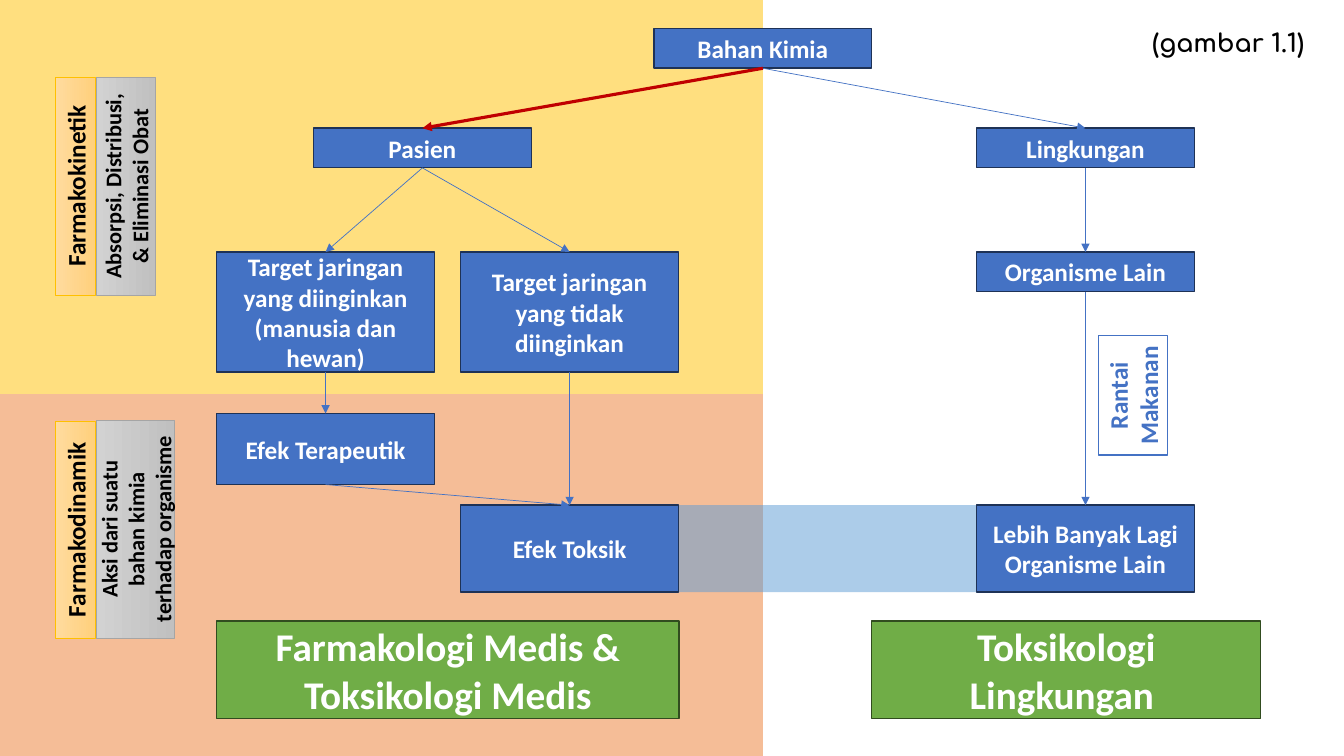
"""Build the slide on the paths of a chemical through patients and the environment."""
from lxml import etree
from pptx import Presentation
from pptx.dml.color import RGBColor
from pptx.enum.shapes import MSO_CONNECTOR, MSO_SHAPE
from pptx.enum.text import MSO_ANCHOR, PP_ALIGN
from pptx.oxml.ns import qn
from pptx.util import Cm, Pt

BLUE, NAVY, GREEN, WHITE, BLACK = "4472C4", "1E3256", "70AD47", "FFFFFF", "000000"
TOP, BOTTOM = 0, 2
WIDE, LOW = 5.49, 1

deck = Presentation()
deck.slide_width, deck.slide_height = Cm(33.87), Cm(19.05)
slide = deck.slides.add_slide(deck.slide_layouts[6])
shapes = slide.shapes


def color(code):
    return RGBColor.from_string(code)


def add_box(place, text="", fill=None, edge=None, weight=1, size=18, ink=WHITE, turn=0):
    box = shapes.add_shape(MSO_SHAPE.RECTANGLE, *map(Cm, place))
    box.shadow.inherit = False
    box.rotation = turn
    if isinstance(fill, tuple):
        box.fill.gradient()
        box.fill.gradient_angle = 270
        for stop, code in zip(box.fill.gradient_stops, fill):
            stop.color.rgb = color(code)
    elif fill:
        box.fill.solid()
        box.fill.fore_color.rgb = color(fill)
    else:
        box.fill.background()
    if edge:
        box.line.color.rgb = color(edge)
        box.line.width = Pt(weight)
    else:
        box.line.fill.background()
    if text:
        frame = box.text_frame
        frame.text = text
        frame.word_wrap = True
        frame.vertical_anchor = MSO_ANCHOR.MIDDLE
        for para in frame.paragraphs:
            para.alignment = PP_ALIGN.CENTER
            font = para.font
            font.name, font.size, font.bold = "Calibri", Pt(size), True
            font.color.rgb = color(ink)
    return box


zones = [
    ((0, 9.93, 19.23, 9.12), "ED7D31"),
    ((0, 0, 19.23, 9.93), "FFC000"),
    ((17.1, 12.73, 7.5, 2.19), "5B9BD5"),
]
for place, code in zones:
    zone = add_box(place, fill=code)
    tint = zone.fill._xPr.find(".//" + qn("a:srgbClr"))
    etree.SubElement(tint, qn("a:alpha")).set("val", "50000")

nodes = {}
for name, left, top, height, text in [
    ("chem", 16.48, 0.72, LOW, "Bahan Kimia"),
    ("patient", 7.9, 3.23, LOW, "Pasien"),
    ("nature", 24.61, 3.23, LOW, "Lingkungan"),
    ("other", 24.61, 6.35, LOW, "Organisme Lain"),
    ("target", 5.46, 6.35, 3.03, "Target jaringan yang diinginkan (manusia dan hewan)"),
    ("stray", 11.61, 6.35, 3.03, "Target jaringan yang tidak diinginkan"),
    ("cure", 5.46, 10.42, 1.79, "Efek Terapeutik"),
    ("toxic", 11.61, 12.73, 2.19, "Efek Toksik"),
    ("more", 24.61, 12.73, 2.19, "Lebih Banyak Lagi Organisme Lain"),
]:
    nodes[name] = add_box((left, top, WIDE, height), text, BLUE, NAVY)

add_box((5.46, 15.65, 11.65, 2.46), "Farmakologi Medis & Toksikologi Medis", GREEN, "314C1F", size=28)
add_box((21.97, 15.65, 9.8, 2.46), "Toksikologi Lingkungan ", GREEN, "314C1F", size=28)
add_box((27.05, 9.09, 3, 1.75), "Rantai\nMakanan", None, BLUE, 0.75, ink=BLUE, turn=270)

gold, gray = ("FFDB9E", "FFD07C"), ("D2D2D2", "C0C0C0")
for left, top, height, text, fill, edge, size in [
    (-0.84, 4.19, LOW, "Farmakokinetik", gold, "FFC000", 18),
    (-0.84, 12.85, LOW, "Farmakodinamik", gold, "FFC000", 18),
    (0.43, 3.94, 1.5, "Absorpsi, Distribusi, & Eliminasi Obat", gray, "A5A5A5", 16),
    (0.67, 12.34, 1.98, "Aksi dari suatu bahan kimia terhadap organisme", gray, "A5A5A5", 16),
]:
    add_box((left, top, WIDE, height), text, fill, edge, 0.5, size, BLACK, 270)

for start, end, code, weight in [
    ("cure", "toxic", BLUE, 0.5),
    ("stray", "toxic", BLUE, 0.5),
    ("chem", "patient", "C00000", 2.25),
    ("chem", "nature", BLUE, 0.5),
    ("patient", "target", BLUE, 0.5),
    ("patient", "stray", BLUE, 0.5),
    ("nature", "other", BLUE, 0.5),
    ("other", "more", BLUE, 0.5),
    ("target", "cure", BLUE, 0.5),
]:
    arrow = shapes.add_connector(MSO_CONNECTOR.STRAIGHT, 0, 0, 0, 0)
    arrow.begin_connect(nodes[start], BOTTOM)
    arrow.end_connect(nodes[end], TOP)
    arrow.line.color.rgb = color(code)
    arrow.line.width = Pt(weight)
    etree.SubElement(arrow.line._get_or_add_ln(), qn("a:tailEnd")).set("type", "triangle")
    etree.SubElement(arrow._element.spPr, qn("a:effectLst"))

label = shapes.add_textbox(Cm(16.36), Cm(0.56), Cm(16.94), Cm(1.03))
label.text_frame.word_wrap = True
para = label.text_frame.paragraphs[0]
para.text = "(gambar 1.1) "
para.alignment = PP_ALIGN.RIGHT
para.font.name, para.font.size, para.font.bold = "Comfortaa", Pt(18), True
para.font.color.rgb = color(BLACK)

deck.save("out.pptx")
